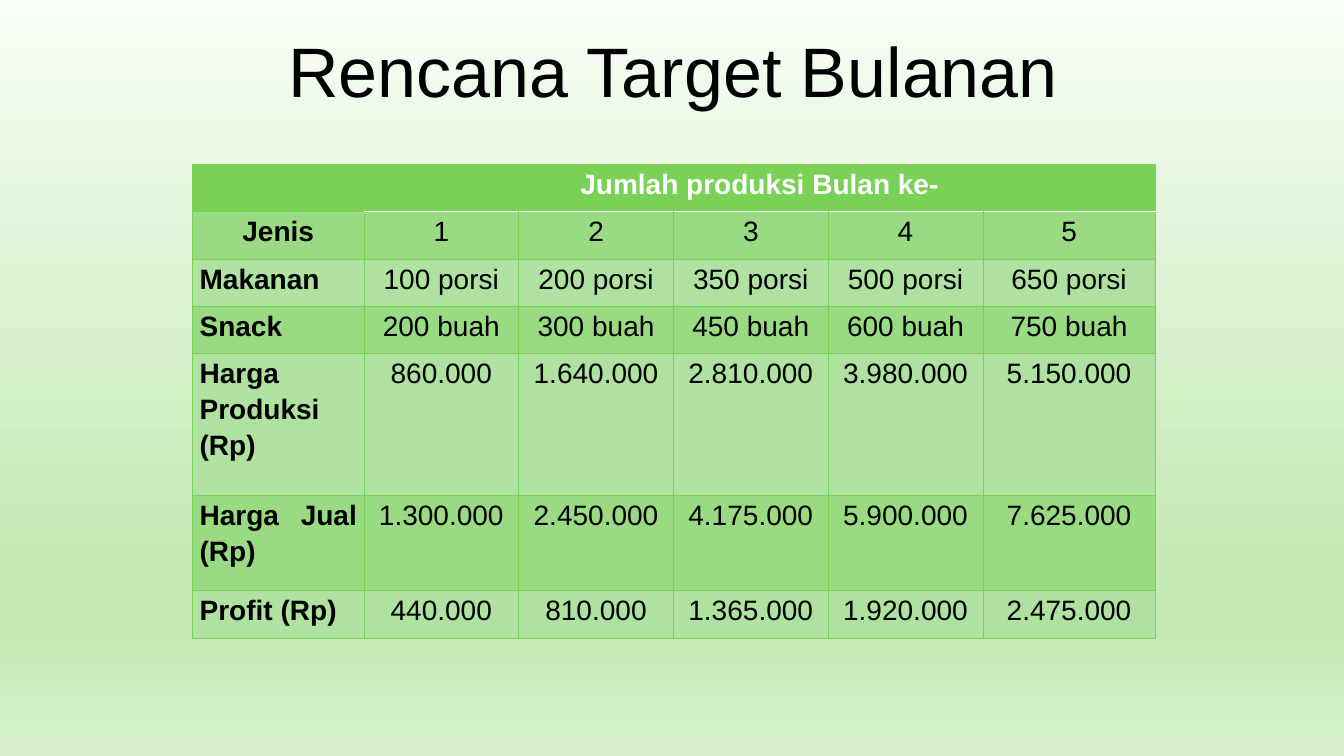
from lxml import etree
from pptx import Presentation
from pptx.dml.color import RGBColor
from pptx.enum.text import MSO_ANCHOR, PP_ALIGN
from pptx.oxml.ns import qn
from pptx.util import Inches, Pt

CENTER, JUSTIFY = PP_ALIGN.CENTER, PP_ALIGN.JUSTIFY
MIDDLE = MSO_ANCHOR.MIDDLE

COLORS = {
    "text": "000000",
    "white": "FFFFFF",
    "header": "79D155",
    "dark_band": "99DB82",
    "light_band": "AFE2A0",
}
BACKGROUND_STOPS = [(0, "F8FDF6"), (74, "C3EAB3"), (83, "C3EAB3"), (100, "D7F1CC")]

HEADING = "Jumlah produksi Bulan ke-"
TARGETS = [
    ["Jenis", "1", "2", "3", "4", "5"],
    ["Makanan", "100 porsi", "200 porsi", "350 porsi", "500 porsi", "650 porsi"],
    ["Snack", "200 buah", "300 buah", "450 buah", "600 buah", "750 buah"],
    ["Harga Produksi (Rp)", "860.000", "1.640.000", "2.810.000", "3.980.000", "5.150.000"],
    ["Harga Jual (Rp)", "1.300.000", "2.450.000", "4.175.000", "5.900.000", "7.625.000"],
    ["Profit (Rp)", "440.000", "810.000", "1.365.000", "1.920.000", "2.475.000"],
]
COLUMN_WIDTHS = [1.7] + [1.535] * 4 + [1.71]
ROW_HEIGHTS = [0.47] * 4 + [1.41, 0.94, 0.47]


def write_text(frame, text, size=20, color="text", bold=False, align=CENTER,
               spacing=1.15, before=0, font="Arial"):
    paragraph = frame.paragraphs[0]
    paragraph.alignment = align
    paragraph.line_spacing = spacing
    paragraph.space_before = Pt(before)
    run = paragraph.add_run()
    run.text = text
    run.font.name = font
    run.font.size = Pt(size)
    run.font.bold = bold
    run.font.color.rgb = RGBColor.from_string(COLORS[color])


def add_color(parent, value):
    etree.SubElement(parent, qn("a:srgbClr"), val=value)


class TargetSlide:
    def __init__(self, presentation):
        self.slide = presentation.slides.add_slide(presentation.slide_layouts[6])

    def background(self, stops):
        """Fill the slide with a gradient running from top to bottom."""
        fill = self.slide.background.fill
        fill.gradient()
        fill.gradient_angle = 270
        stop_list = next(self.slide.element.iter(qn("a:gsLst")))
        for old_stop in list(stop_list):
            stop_list.remove(old_stop)
        for percent, value in stops:
            add_color(etree.SubElement(stop_list, qn("a:gs"), pos=str(percent * 1000)), value)

    def title(self, text, left, top, width, height):
        frame = self.slide.shapes.add_textbox(
            Inches(left), Inches(top), Inches(width), Inches(height)).text_frame
        frame.word_wrap = True
        frame.vertical_anchor = MIDDLE
        frame.margin_left = frame.margin_right = frame.margin_top = Inches(0.1)
        frame.margin_bottom = Inches(0.05)
        write_text(frame, text, size=50, spacing=0.7, before=10)

    def style_cell(self, cell, fill, **borders):
        """Set margins, fill and borders; borders maps a side to (color, points)."""
        cell.margin_left = cell.margin_right = Inches(0.07)
        cell.margin_top = cell.margin_bottom = 0
        cell.fill.solid()
        cell.fill.fore_color.rgb = RGBColor.from_string(COLORS[fill])
        properties = cell._tc.get_or_add_tcPr()
        for position, side in enumerate("LRTB"):
            color, points = borders.get(side, ("header", 0.5))
            line = etree.Element(qn(f"a:ln{side}"), w=str(Pt(points)))
            add_color(etree.SubElement(line, qn("a:solidFill")), COLORS[color])
            properties.insert(position, line)

    def target_table(self, left, top):
        table = self.slide.shapes.add_table(
            len(ROW_HEIGHTS), len(COLUMN_WIDTHS), Inches(left), Inches(top),
            Inches(sum(COLUMN_WIDTHS)), Inches(sum(ROW_HEIGHTS))).table
        table.horz_banding = False
        for column, width in zip(table.columns, COLUMN_WIDTHS):
            column.width = Inches(width)
        for row, height in zip(table.rows, ROW_HEIGHTS):
            row.height = Inches(height)

        rule = ("white", 1)
        self.style_cell(table.cell(0, 0), "header")
        for column in range(1, len(COLUMN_WIDTHS)):
            self.style_cell(table.cell(0, column), "header", B=rule)
        table.cell(0, 1).merge(table.cell(0, len(COLUMN_WIDTHS) - 1))
        write_text(table.cell(0, 1).text_frame, HEADING, color="white", bold=True)

        for row, values in enumerate(TARGETS, start=1):
            band = "dark_band" if row % 2 else "light_band"
            for column, value in enumerate(values):
                cell = table.cell(row, column)
                is_label = column == 0
                borders = {"T": rule} if row == 1 and not is_label else {}
                self.style_cell(cell, band, **borders)
                write_text(cell.text_frame, value, bold=is_label,
                           align=JUSTIFY if is_label and row > 1 else CENTER)


def main():
    presentation = Presentation()
    presentation.slide_width = Inches(13.33)
    presentation.slide_height = Inches(7.5)
    page = TargetSlide(presentation)
    page.background(BACKGROUND_STOPS)
    page.title("Rencana Target Bulanan", 0.35, 0.37, 12.66, 0.79)
    page.target_table(1.91, 1.63)
    presentation.save("out.pptx")


if __name__ == "__main__":
    main()
